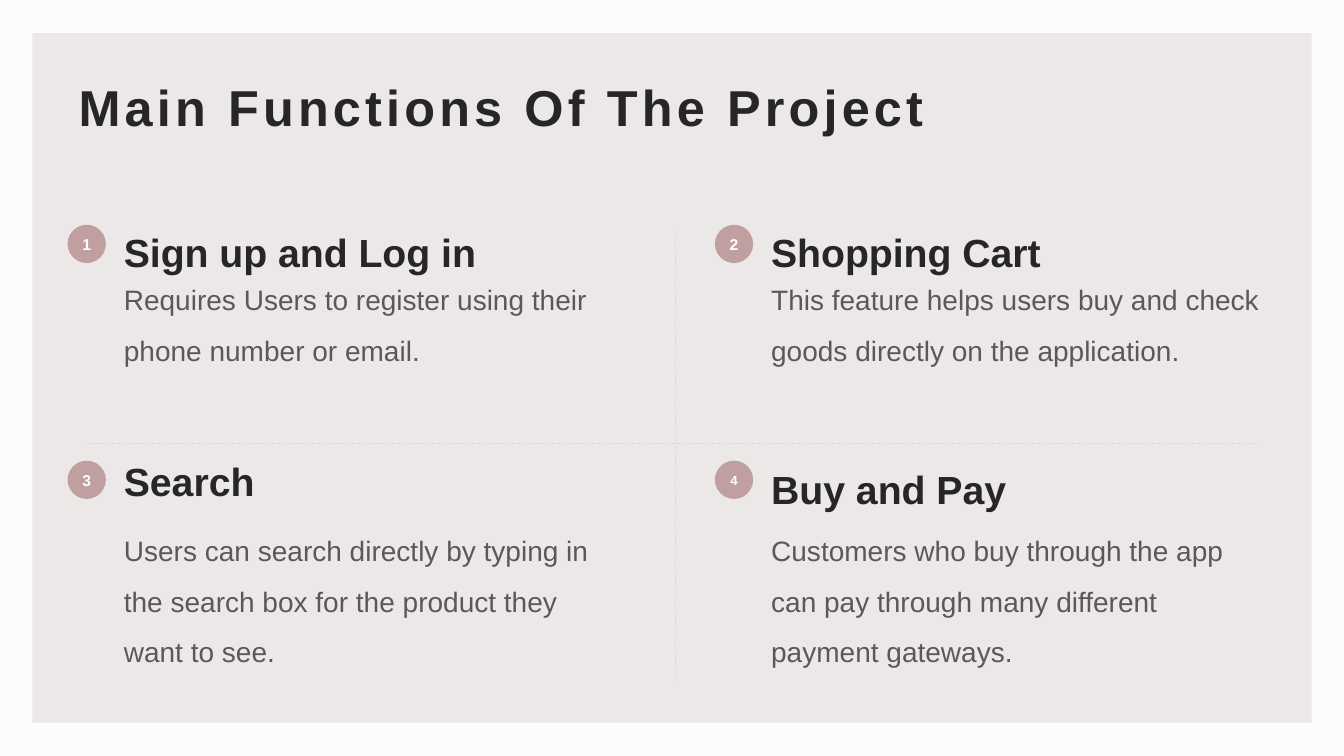
from dataclasses import dataclass

from lxml.etree import SubElement
from pptx import Presentation
from pptx.dml.color import RGBColor
from pptx.enum.dml import MSO_LINE
from pptx.enum.shapes import MSO_CONNECTOR, MSO_SHAPE
from pptx.enum.text import MSO_ANCHOR, PP_ALIGN
from pptx.oxml.ns import qn
from pptx.shapes.autoshape import Shape
from pptx.slide import Slide
from pptx.text.text import TextFrame
from pptx.util import Inches, Pt


@dataclass(frozen=True)
class Theme:
    font: str = "Arial"
    background: str = "FDFCFC"
    panel: str = "ECE8E8"
    divider: str = "D9D9D9"
    badge: str = "BF9F9F"
    badge_text: str = "FFFFFF"
    heading: str = "262626"
    body: str = "595959"
    title_size: float = 36
    heading_size: float = 28
    body_size: float = 20
    badge_size: float = 11.2
    small_badge_size: float = 9.4


@dataclass(frozen=True)
class Feature:
    heading: str
    description: str
    heading_top: float
    number_size: float


@dataclass(frozen=True)
class Divider:
    left: float
    top: float
    right: float
    bottom: float


THEME = Theme()
COLUMN_LEFTS = (0.67, 7.09)
BADGE_TOPS = (2.23, 4.57)
BODY_TOPS = (2.59, 5.08)
BADGE_DIAMETER = 0.38
TEXT_OFFSET = 0.46
TEXT_WIDTH = 5.11

FEATURES = (
    Feature("Sign up and Log in",
            "Requires Users to register using their phone number or email.",
            2.22, THEME.badge_size),
    Feature("Shopping Cart",
            "This feature helps users buy and check goods directly on the application.",
            2.22, THEME.badge_size),
    Feature("Search",
            "Users can search directly by typing in the search box for the product they want to see.",
            4.49, THEME.badge_size),
    Feature("Buy and Pay",
            "Customers who buy through the app can pay through many different payment gateways.",
            4.57, THEME.small_badge_size),
)
DIVIDERS = (Divider(0.86, 4.4, 12.47, 4.4), Divider(6.7, 2.29, 6.7, 6.76))


def write(frame: TextFrame, text: str, size: float, color: str, bold: bool = False) -> None:
    span = frame.paragraphs[0].add_run()
    span.text = text
    span.font.name = THEME.font
    span.font.size = Pt(size)
    span.font.bold = bold
    span.font.color.rgb = RGBColor.from_string(color)


def add_filled(page: Slide, kind: MSO_SHAPE, left: float, top: float,
               width: float, height: float, color: str) -> Shape:
    shape = page.shapes.add_shape(kind, Inches(left), Inches(top), Inches(width), Inches(height))
    shape.shadow.inherit = False
    shape.fill.solid()
    shape.fill.fore_color.rgb = RGBColor.from_string(color)
    shape.line.fill.background()
    return shape


def add_text(page: Slide, left: float, top: float, width: float, height: float,
             text: str, size: float, color: str, bold: bool = False) -> TextFrame:
    box = page.shapes.add_textbox(Inches(left), Inches(top), Inches(width), Inches(height))
    frame = box.text_frame
    frame.word_wrap = True
    write(frame, text, size, color, bold)
    return frame


def add_divider(page: Slide, divider: Divider) -> None:
    line = page.shapes.add_connector(
        MSO_CONNECTOR.STRAIGHT, Inches(divider.left), Inches(divider.top),
        Inches(divider.right), Inches(divider.bottom))
    line.line.color.rgb = RGBColor.from_string(THEME.divider)
    line.line.width = Pt(0.5)
    line.line.dash_style = MSO_LINE.DASH
    SubElement(line._element.spPr, qn("a:effectLst"))


def add_badge(page: Slide, left: float, top: float, number: int, size: float) -> None:
    badge = add_filled(page, MSO_SHAPE.OVAL, left, top, BADGE_DIAMETER, BADGE_DIAMETER, THEME.badge)
    frame = badge.text_frame
    frame.margin_left = frame.margin_right = frame.margin_top = frame.margin_bottom = 0
    frame.vertical_anchor = MSO_ANCHOR.MIDDLE
    frame.paragraphs[0].alignment = PP_ALIGN.CENTER
    write(frame, str(number), size, THEME.badge_text, True)


def add_feature(page: Slide, index: int, feature: Feature) -> None:
    row, column = divmod(index, len(COLUMN_LEFTS))
    left = COLUMN_LEFTS[column]
    text_left = left + TEXT_OFFSET
    body = add_text(page, text_left, BODY_TOPS[row], TEXT_WIDTH, 1.54,
                    feature.description, THEME.body_size, THEME.body)
    para = body.paragraphs[0]
    para.line_spacing = 1.5
    para.space_before = Pt(10)
    add_text(page, text_left, feature.heading_top, TEXT_WIDTH, 0.44,
             feature.heading, THEME.heading_size, THEME.heading, True)
    add_badge(page, left, BADGE_TOPS[row], index + 1, feature.number_size)


def add_title(page: Slide, text: str) -> None:
    frame = add_text(page, 0.67, 0.67, 12, 0.77, text, THEME.title_size, THEME.heading, True)
    frame.vertical_anchor = MSO_ANCHOR.MIDDLE
    frame.margin_left, frame.margin_right = Inches(0.11), Inches(0.08)
    frame.margin_top = frame.margin_bottom = Inches(0.04)
    span = frame.paragraphs[0].runs[0]
    span.font._element.set("spc", "300")


def main() -> None:
    deck = Presentation()
    deck.slide_width, deck.slide_height = Inches(13.33), Inches(7.5)
    page = deck.slides.add_slide(deck.slide_layouts[6])
    page.background.fill.solid()
    page.background.fill.fore_color.rgb = RGBColor.from_string(THEME.background)
    add_filled(page, MSO_SHAPE.RECTANGLE, 0.32, 0.33, 12.69, 6.84, THEME.panel)
    for divider in DIVIDERS:
        add_divider(page, divider)
    for index, feature in enumerate(FEATURES):
        add_feature(page, index, feature)
    add_title(page, "Main Functions Of The Project")
    deck.save("out.pptx")


if __name__ == "__main__":
    main()
